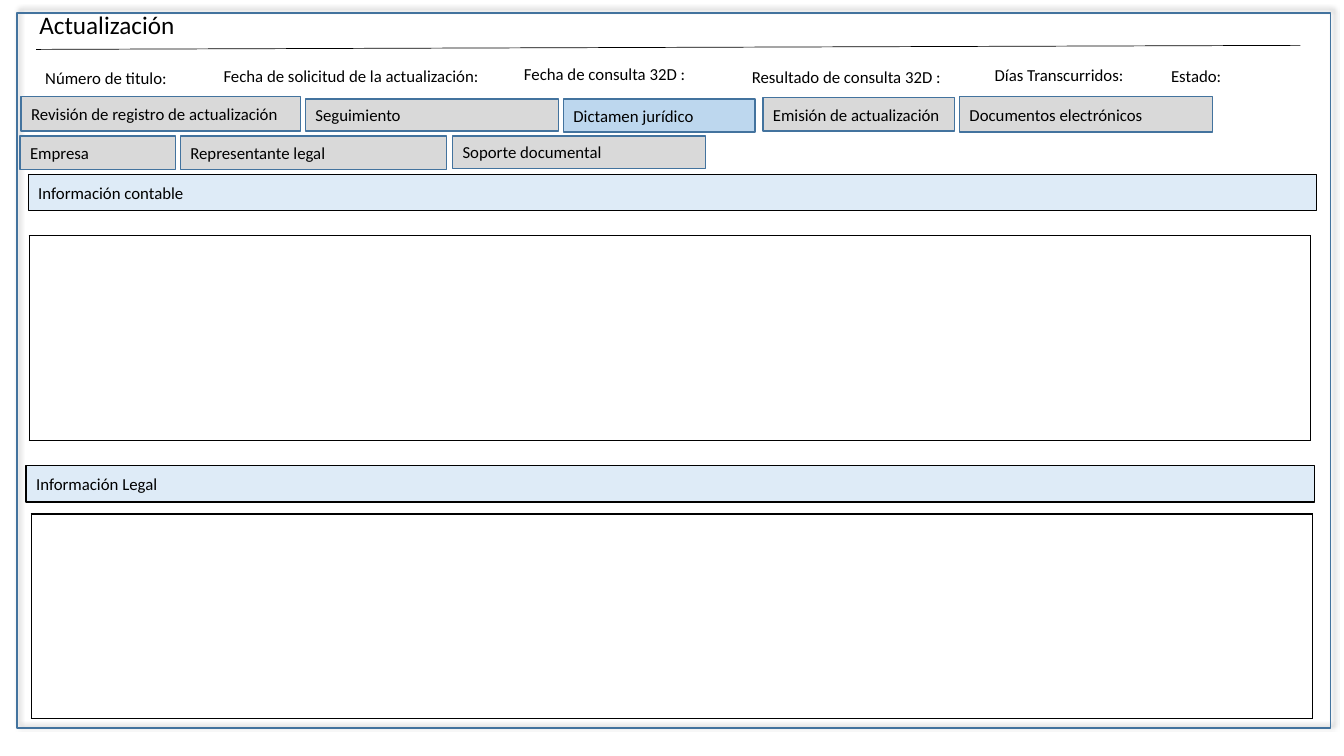
"""Builds the wireframe slide of the update form, legal opinion tab."""
from lxml.etree import SubElement as Sub
from pptx import Presentation
from pptx.dml.color import RGBColor
from pptx.enum.shapes import MSO_CONNECTOR as Conn, MSO_SHAPE as Shape
from pptx.enum.text import MSO_ANCHOR as Anchor, PP_ALIGN as Align
from pptx.oxml.ns import qn
from pptx.util import Pt

BLACK = RGBColor(0x00, 0x00, 0x00)
BLUE = RGBColor(0x43, 0x73, 0x9E)
GRAY = RGBColor(0xD9, 0xD9, 0xD9)
SKY = RGBColor(0xBD, 0xD7, 0xEE)
PALE = RGBColor(0xDE, 0xEB, 0xF7)

deck = Presentation()
deck.slide_width, deck.slide_height = Pt(960), Pt(540)
slide = deck.slides.add_slide(deck.slide_layouts[5])
shapes = slide.shapes


def write(frame, text, size=12, anchor=Anchor.TOP):
    frame.word_wrap = True
    frame.vertical_anchor = anchor
    par = frame.paragraphs[0]
    par.alignment = Align.LEFT
    run = par.add_run()
    run.text = text
    run.font.name = "Calibri"
    run.font.size = Pt(size)
    run.font.color.rgb = BLACK


def box(left, top, width, height, fill=None, line=BLUE):
    rect = shapes.add_shape(Shape.RECTANGLE, Pt(left), Pt(top), Pt(width), Pt(height))
    rect.shadow.inherit = False
    if fill is None:
        rect.fill.background()
    else:
        rect.fill.solid()
        rect.fill.fore_color.rgb = fill
    rect.line.color.rgb = line
    rect.line.width = Pt(1)
    return rect


title = shapes.title
title.left, title.top, title.width, title.height = Pt(20.9), Pt(2.9), Pt(368), Pt(28.8)
write(title.text_frame, "Actualización", size=18)

panel = box(12.2, 9.4, 938.2, 510.5)
glow = Sub(panel.element.spPr.find(qn("a:effectLst")), qn("a:outerShdw"),
           blurRad=str(Pt(4)), dist=str(Pt(3)), dir="18900000", algn="bl", rotWithShape="0")
tint = Sub(glow, qn("a:srgbClr"), val="000000")
Sub(tint, qn("a:alpha"), val="40000")

rule = shapes.add_connector(Conn.STRAIGHT, Pt(25.9), Pt(35.3), Pt(928.8), Pt(32.4))
rule.line.color.rgb = BLACK
rule.line.width = Pt(0.5)
Sub(rule.element.spPr, qn("a:effectLst"))

fields = [
    ("Número de titulo:", 25.2, 44.6, 121.7),
    ("Fecha de solicitud de la actualización:", 152.6, 43.2, 239),
    ("Fecha de consulta 32D :", 367.2, 41.8, 152.6),
    ("Resultado de consulta 32D :", 529.9, 43.9, 152.6),
    ("Días Transcurridos:", 703.4, 42.5, 120),
    ("Estado:", 829.4, 43.2, 120),
]
for text, left, top, width in fields:
    label = shapes.add_textbox(Pt(left), Pt(top), Pt(width), Pt(21.6))
    write(label.text_frame, text)

tabs = [
    ("Revisión de registro de actualización", 15.1, 69.1, 199.4, 24.5),
    ("Seguimiento", 218.2, 70.6, 180.7, 23),
    ("Dictamen jurídico", 402.5, 70.6, 136.8, 23.8),
    ("Emisión de actualización", 545, 69.8, 136.8, 23.8),
    ("Documentos electrónicos", 685.4, 69.1, 180.7, 25.2),
    ("Empresa", 14.4, 97.2, 110.9, 23.8),
    ("Representante legal", 128.9, 97.2, 190.1, 23.8),
    ("Soporte documental", 323.3, 97.2, 180.7, 23),
]
for text, *place in tabs:
    tab = box(*place, fill=SKY if text == "Dictamen jurídico" else GRAY)
    write(tab.text_frame, text, anchor=Anchor.MIDDLE)

parts = [
    ("Información contable", 20.2, 124.6, 20.9, 168.5),
    ("Información Legal", 18.7, 332.6, 22.3, 367.2),
]
for text, left, top, edge, start in parts:
    head = box(left, top, 920.2, 25.9, fill=PALE, line=BLACK)
    write(head.text_frame, text, anchor=Anchor.MIDDLE)
    grid = shapes.add_table(1, 1, Pt(edge), Pt(start), Pt(915.1), Pt(146.2)).table
    grid.first_row = grid.horz_banding = False
    cell = grid.cell(0, 0)
    props = cell._tc.get_or_add_tcPr()
    for side in ("lnL", "lnR", "lnT", "lnB"):
        edging = Sub(props, qn("a:" + side), w=str(Pt(1)))
        Sub(Sub(edging, qn("a:solidFill")), qn("a:srgbClr"), val=str(BLACK))
    cell.fill.background()

deck.save("out.pptx")
